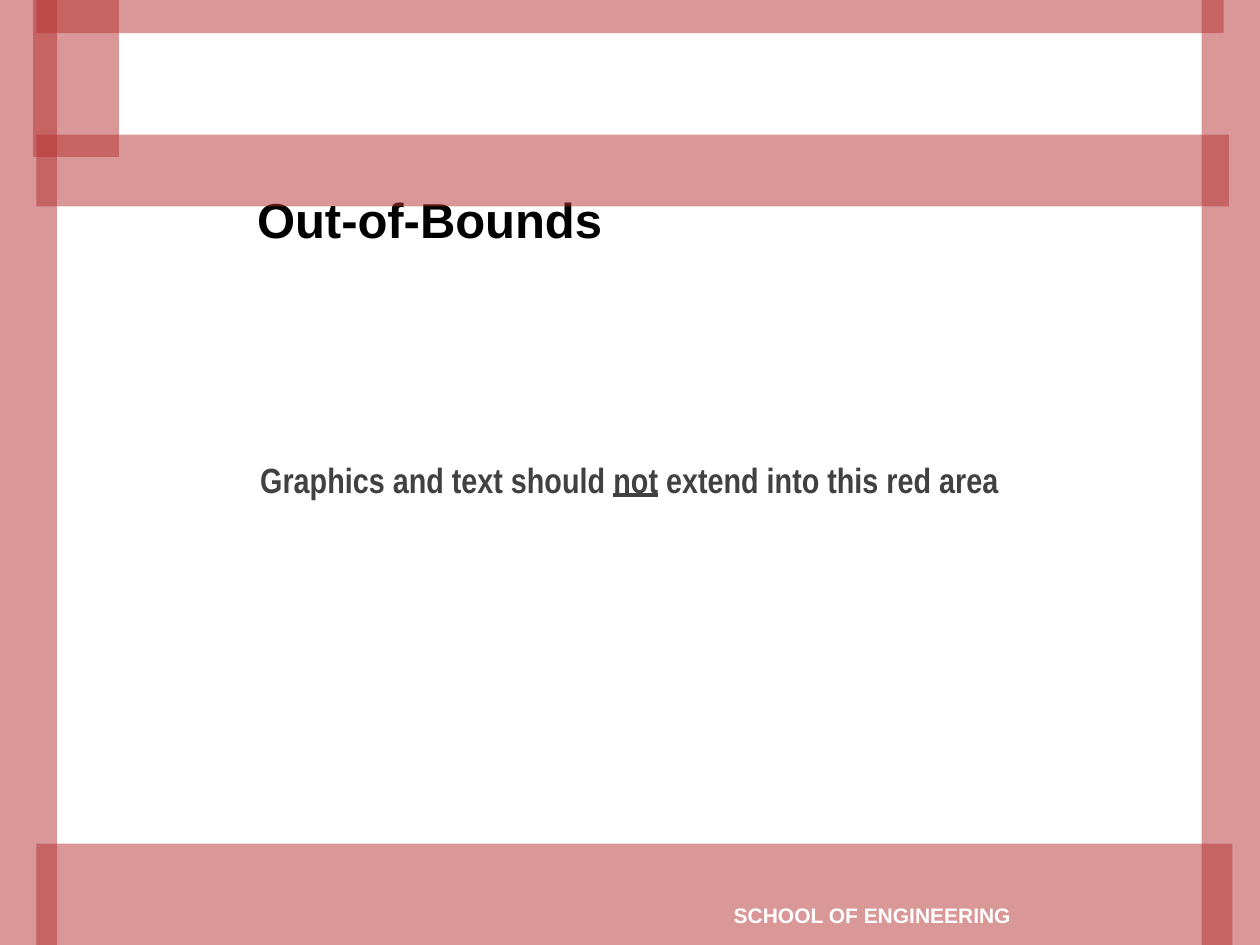
from pptx import Presentation
from pptx.dml.color import RGBColor
from pptx.enum import shapes, text
from pptx.oxml.ns import qn
from pptx.util import Pt
from lxml import etree

RED = RGBColor(0xB5, 0x31, 0x31)
BLACK = RGBColor(0, 0, 0)
GREY = RGBColor(0x41, 0x41, 0x41)
WHITE = RGBColor(0xFF, 0xFF, 0xFF)

deck = Presentation()
deck.slide_width, deck.slide_height = Pt(720), Pt(540)
slide = deck.slides.add_slide(deck.slide_layouts[5])


def add_run(para, words, size, face, color, under=None):
    run = para.add_run()
    run.text = words
    font = run.font
    font.size, font.name, font.bold = Pt(size), face, True
    font.color.rgb = color
    font.underline = under


def add_label(left, top, width, height, anchor):
    box = slide.shapes.add_textbox(Pt(left), Pt(top), Pt(width), Pt(height))
    frame = box.text_frame
    frame.word_wrap = True
    frame.vertical_anchor = anchor
    para = frame.paragraphs[0]
    para.alignment = text.PP_ALIGN.CENTER
    return para


# Title
title = slide.shapes.title
title.left, title.top, title.width, title.height = Pt(139.7), Pt(90), Pt(530), Pt(55.4)
frame = title.text_frame
frame.auto_size = text.MSO_AUTO_SIZE.NONE
frame.vertical_anchor = text.MSO_ANCHOR.BOTTOM
para = frame.paragraphs[0]
para.alignment = text.PP_ALIGN.LEFT
para.line_spacing = 0.85
add_run(para, "Out-of-Bounds", 28, "Arial", BLACK)

# Message
para = add_label(84.2, 262, 551, 36, text.MSO_ANCHOR.TOP)
para.line_spacing = 0.85
for words, under in (
    ("Graphics and text should ", None),
    ("not", True),
    (" extend into this red area", None),
):
    add_run(para, words, 20, "Arial Narrow", GREY, under)

# Translucent red zones: left, top, width, height
zones = (
    (0, 0, 32.5, 540.5),
    (20.8, 482, 683.5, 59),
    (20.8, 77, 681.5, 41),
    (20.8, 0, 678.5, 19),
    (686.7, 0, 33.3, 540.5),
    (19, 0, 49, 89.7),
)
group = slide.shapes.add_group_shape()
for zone in zones:
    rect = group.shapes.add_shape(shapes.MSO_SHAPE.RECTANGLE, *map(Pt, zone))
    rect.shadow.inherit = False
    rect.line.fill.background()
    rect.fill.solid()
    rect.fill.fore_color.rgb = RED
    tint = rect.fill._xPr.find(qn("a:solidFill"))[0]
    etree.SubElement(tint, qn("a:alpha")).set("val", "50000")

# Footer
para = add_label(383.5, 512, 230, 21.6, text.MSO_ANCHOR.MIDDLE)
add_run(para, "SCHOOL OF ENGINEERING", 12, "Arial", WHITE)

deck.save("out.pptx")
